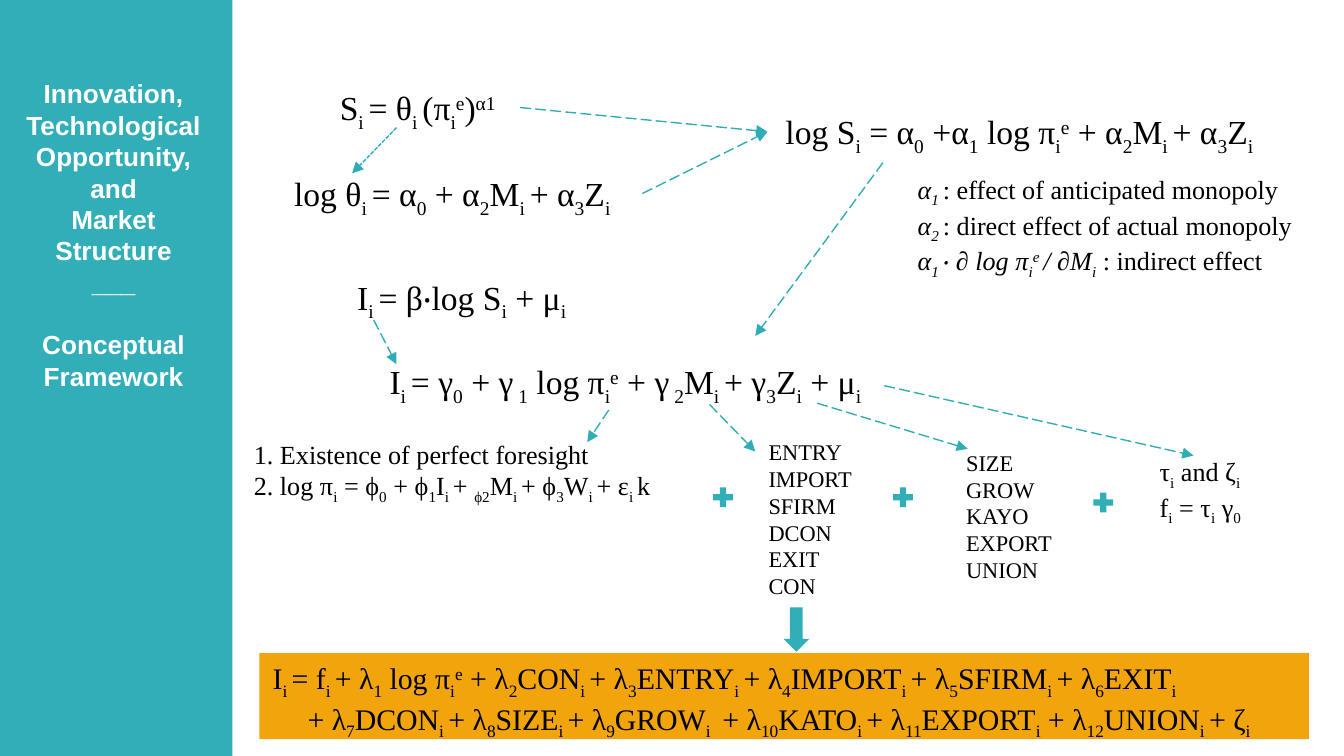
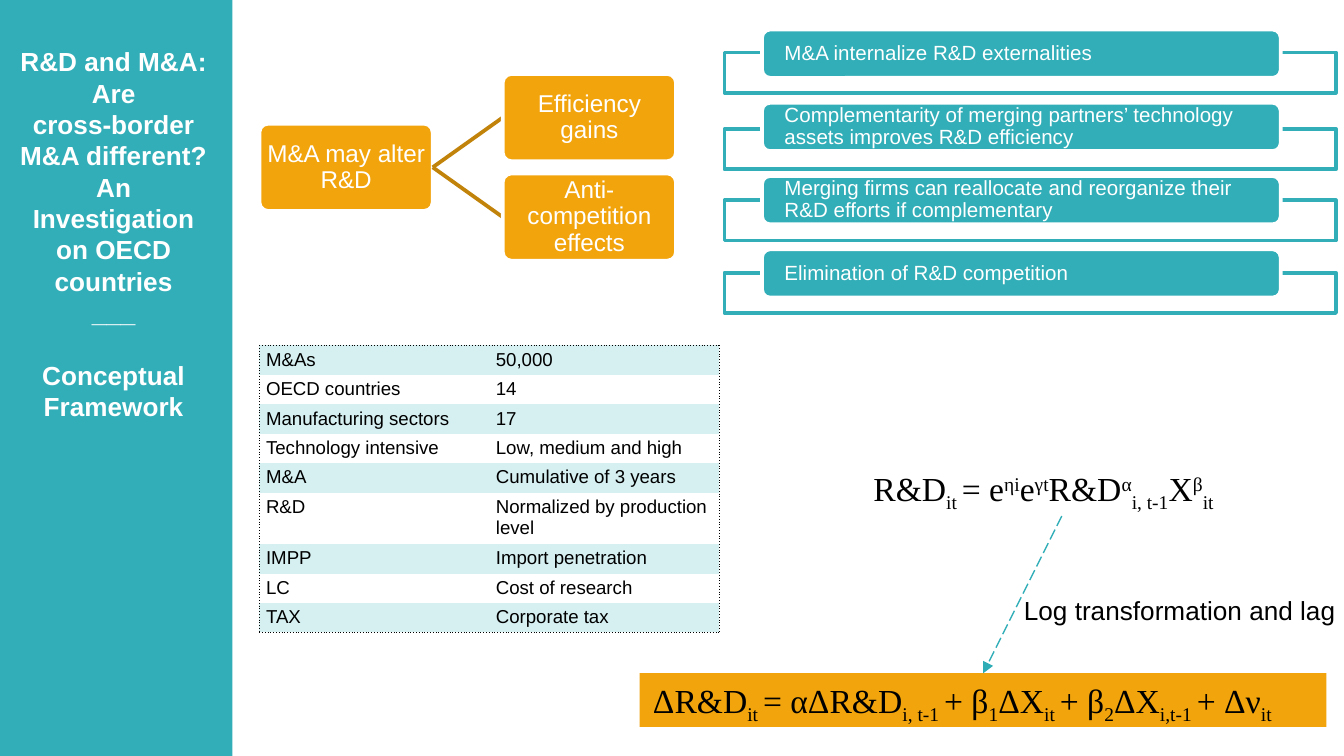
"""Build two conceptual-framework slides on a grid of 100 columns, with square cells."""
from lxml import etree
from pptx import Presentation
from pptx import util as u
from pptx.dml.color import RGBColor
from pptx.enum import dml, shapes, text
from pptx.oxml.ns import qn

COLORS = {"teal": "32AEB8", "arrow": "2EADB7", "amber": "F2A40D", "brown": "C2830A",
          "pale": "D6EFF1", "white": "FFFFFF", "black": "000000"}
RGB = {name: RGBColor.from_string(code) for name, code in COLORS.items()}
SERIF, SANS = "Times New Roman", "Arial"
BASE = {"↓": "-25000", "↑": "30000"}
MSO = shapes.MSO_SHAPE

prs = Presentation()
prs.slide_width, prs.slide_height = u.Inches(10), u.Inches(5.625)
CELL = prs.slide_width // 100
ROWS = 56.25


def box(s, at, lines=(), size=18, font=SERIF, ink="black", kind=None, fill=None, edge=None, spacing=1.0):
    """Add a text box or shape; | parts runs, ↓ lowers and ↑ raises a run."""
    at = [round(v * CELL) for v in at]
    if kind is None:
        sp = s.shapes.add_textbox(*at)
    else:
        sp = s.shapes.add_shape(kind, *at)
        sp.shadow.inherit = False
        sp.fill.solid()
        sp.fill.fore_color.rgb = RGB[fill]
        if edge:
            sp.line.color.rgb = RGB[edge]
            sp.line.width = u.Pt(2)
        else:
            sp.line.fill.background()
    tf = sp.text_frame
    tf.word_wrap = True
    tf.vertical_anchor = text.MSO_ANCHOR.TOP
    for n, line in enumerate(lines):
        p = tf.add_paragraph() if n else tf.paragraphs[0]
        p.alignment = text.PP_ALIGN.LEFT
        p.line_spacing = spacing
        for part in line.split("|"):
            r = p.add_run()
            r.text = part.lstrip("↓↑")
            r.font.size, r.font.name = u.Pt(size), font
            r.font.color.rgb = RGB[ink]
            if part[0] in BASE:
                r._r.get_or_add_rPr().set("baseline", BASE[part[0]])
    return sp


def connect(s, ends, color="arrow", width=0.75, dash=dml.MSO_LINE.LONG_DASH, head=True):
    """Add a straight connector, with an arrowhead at its end if head is set."""
    c = s.shapes.add_connector(shapes.MSO_CONNECTOR.STRAIGHT, *[round(v * CELL) for v in ends])
    c.line.color.rgb = RGB[color]
    c.line.width = u.Pt(width)
    if dash:
        c.line.dash_style = dash
    if head:
        etree.SubElement(c.line._get_or_add_ln(), qn("a:tailEnd"), type="triangle")
    etree.SubElement(c._element.spPr, qn("a:effectLst"))
    return c


titles = [
    (5.3, 26.9, ["Innovation,", "Technological", "Opportunity,", "and", "Market", "Structure"]),
    (2.9, 31.6, ["R&D and M&A:", "Are", "cross-border", "M&A different?", "An", "Investigation",
                 "on OECD", "countries"]),
]
slides = []
for top, height, lines in titles:
    s = prs.slides.add_slide(prs.slide_layouts[6])
    box(s, (0, 0, 17.3, ROWS), kind=MSO.RECTANGLE, fill="teal")
    sp = box(s, (0.4, top, 16.1, height), lines + ["___", "Conceptual", "Framework"], 14, SANS, "white")
    for p in sp.text_frame.paragraphs:
        p.alignment = text.PP_ALIGN.CENTER
        p.runs[0].font.bold = True
        p.space_before = u.Pt(16.8 if p.text == "Conceptual" else 0)
    slides.append(s)

s = slides[0]
score = box(s, (24.3, 6, 14.4, 4), ["S|↓i |= θ|↓i |(π|↓i|↑e|)|↑α1"])
box(s, (20.9, 12.4, 28.5, 4), ["log θ|↓i |= α|↓0| + α|↓2|M|↓i |+ α|↓3|Z|↓i"])
log_score = box(s, (57.1, 7.8, 45.9, 4),
                ["↓ |log S|↓i| = α|↓0| +α|↓1| log π|↓i|↑e| + α|↓2|M|↓i |+ α|↓3|Z|↓i"])
effects = box(s, (67.3, 12.4, 33.1, 8.1), [
    "α|↓1 |: effect of anticipated monopoly",
    "α|↓2 |: direct effect of actual monopoly",
    "α|↓1 |‧ ∂ log π|↓i|↑e |/ ∂M|↓i| : indirect effect"], 14)
for p in effects.text_frame.paragraphs:
    for r in p.runs[:-1]:
        r.font.italic = True
box(s, (25.6, 20.1, 22.6, 4), ["I|↓i |= β‧log S|↓i| + μ|↓i"])
box(s, (28, 26.4, 44.1, 4),
    ["I|↓i |= γ|↓0| + γ|↓ 1| log π|↓i|↑e| + γ|↓ 2|M|↓i |+ γ|↓3|Z|↓i| + μ|↓i"])
box(s, (17.9, 32.1, 39.2, 5.7), [
    "1. Existence of perfect foresight",
    "2. log π|↓i| = ϕ|↓0| + ϕ|↓1|I|↓i |+ |↓ϕ2|M|↓i |+ ϕ|↓3|W|↓i |+ ε|↓i |k"], 14)
box(s, (56.2, 32.1, 9.6, 13.1), ["ENTRY", "IMPORT", "SFIRM", "DCON", "EXIT", "CON"], 12)
box(s, (70.9, 32.9, 10.6, 11.1), ["SIZE", "GROW", "KAYO", "EXPORT", "UNION"], 12)
box(s, (85.3, 33.4, 12.8, 5.7), ["τ|↓i| and ζ|↓i", "f|↓i| = τ|↓i| γ|↓0"], 14)
model = box(s, (19.3, 48.6, 78.1, 6.4), [
    "I|↓i |= f|↓i |+ λ|↓1| log π|↓i|↑e| + λ|↓2|CON|↓i |+ λ|↓3|ENTRY|↓i |+ λ|↓4|IMPORT|↓i "
    "|+ λ|↓5|SFIRM|↓i |+ λ|↓6|EXIT|↓i",
    "+ λ|↓7|DCON|↓i |+ λ|↓8|SIZE|↓i |+ λ|↓9|GROW|↓i | + λ|↓10|KATO|↓i |+ λ|↓11|EXPORT|↓i"
    "| + λ|↓12|UNION|↓i |+ ζ|↓i"], 16, kind=MSO.RECTANGLE, fill="amber")
model.text_frame.paragraphs[1]._p.get_or_add_pPr().set("marL", str(round(2.6 * CELL)))

connect(s, (29.5, 9.5, 26.2, 12.9), dash=dml.MSO_LINE.SQUARE_DOT)
c = connect(s, (38.7, 8, 57.1, 9.8))
c.begin_connect(score, 3)
c.end_connect(log_score, 1)
connect(s, (47.8, 14.4, 57.1, 9.8)).end_connect(log_score, 1)
for ends in [(65.7, 12.1, 56.2, 25), (27.8, 23.8, 29.5, 27.1), (45.3, 30.5, 43.7, 32.9),
             (52.8, 30.1, 56.2, 33.6), (60.8, 30, 72, 33.4), (65.8, 28.7, 88.8, 33.9)]:
    connect(s, ends)
for x, y in [(52.8, 36), (66.2, 36), (81.1, 36.4)]:
    box(s, (x, y, 2, 2), kind=MSO.MATH_PLUS, fill="teal")
box(s, (58.3, 45.2, 1.9, 3.3), kind=MSO.DOWN_ARROW, fill="teal")

s = slides[1]
nodes = [(19.3, 9.2, "M&A may alter R&D"), (37.4, 5.5, "Efficiency gains"),
         (37.4, 12.9, "Anti-competition effects")]
root = None
for x, y, label in nodes:
    if root:
        c = connect(s, (32.2, 12.5, x, y + 3.25), "brown", 2, None, False)
        c.begin_connect(root, 3)
    sp = box(s, (x, y, 12.9, 6.5), [label], 13, SANS, "white", MSO.ROUNDED_RECTANGLE, "amber", "white", 0.9)
    sp.adjustments[0] = 0.1
    tf = sp.text_frame
    tf.vertical_anchor = text.MSO_ANCHOR.MIDDLE
    tf.margin_left = tf.margin_right = tf.margin_top = tf.margin_bottom = u.Inches(0.03)
    tf.paragraphs[0].alignment = text.PP_ALIGN.CENTER
    if root:
        c.end_connect(sp, 1)
    else:
        root = sp

channels = [(3.9, "M&A internalize R&D externalities"),
            (9.6, "Complementarity of merging partners’ technology assets improves R&D efficiency"),
            (14.9, "Merging firms can reallocate and reorganize their R&D efforts if complementary"),
            (20.3, "Elimination of R&D competition")]
for n, (y, label) in enumerate(channels):
    box(s, (53.9, y, 45.5, 3), kind=MSO.RECTANGLE, fill="white", edge="teal")
    sp = box(s, (56.7, 2.2 + 5.45 * n, 38.6, 3.6), [label], 11, SANS, "white",
             MSO.ROUNDED_RECTANGLE, "teal", "white", 0.9)
    tf = sp.text_frame
    tf.vertical_anchor = text.MSO_ANCHOR.MIDDLE
    tf.margin_left = tf.margin_right = u.Inches(0.15)
    tf.margin_top = tf.margin_bottom = 0

data = [("M&As", "50,000"), ("OECD countries", "14"), ("Manufacturing sectors", "17"),
        ("Technology intensive", "Low, medium and high"), ("M&A", "Cumulative of 3 years"),
        ("R&D", "Normalized by production level"), ("IMPP", "Import penetration"),
        ("LC", "Cost of research"), ("TAX", "Corporate tax")]
frame = s.shapes.add_table(len(data), 2, *[round(v * CELL) for v in (19.3, 25.7, 34.2, 21.3)])
tbl = frame.table
tbl.first_row = tbl.horz_banding = False
tbl._tbl.tblPr.find(qn("a:tableStyleId")).text = "{2D5ABB26-0587-4C30-8999-92F81FD0307C}"
for i, row in enumerate(data):
    tbl.rows[i].height = round((3.8 if i == 5 else 2.19) * CELL)
    for j, value in enumerate(row):
        cell = tbl.cell(i, j)
        cell.text = value
        cell.margin_left = cell.margin_right = u.Inches(0.05)
        cell.margin_top, cell.margin_bottom = u.Inches(0.03), u.Inches(0.02)
        r = cell.text_frame.paragraphs[0].runs[0]
        r.font.size, r.font.name = u.Pt(10), SANS
        r.font.color.rgb = RGB["black"]
        if i % 2:
            cell.fill.background()
        else:
            cell.fill.solid()
            cell.fill.fore_color.rgb = RGB["pale"]
        outer = [("a:lnL", j == 0), ("a:lnR", j == 1), ("a:lnT", i == 0), ("a:lnB", i == len(data) - 1)]
        for n, tag in enumerate([tag for tag, shown in outer if shown]):
            ln = etree.Element(qn(tag), w=str(u.Pt(0.25)))
            solid = etree.SubElement(ln, qn("a:solidFill"))
            etree.SubElement(solid, qn("a:srgbClr"), val=COLORS["black"])
            etree.SubElement(ln, qn("a:prstDash"), val="sysDot")
            cell._tc.get_or_add_tcPr().insert(n, ln)

box(s, (64, 34.3, 30.1, 4), ["R&D|↓it |= e|↑ηi|e|↑γt|R&D|↑α|↓i, t-1|X|↑β|↓it"])
growth = box(s, (47.6, 50.1, 51.1, 4), [
    "ΔR&D|↓it |= αΔR&D|↓i, t-1 |+ β|↓1|ΔX|↓it |+ β|↓2|ΔX|↓i,t-1 |+ Δν|↓it"],
    kind=MSO.RECTANGLE, fill="amber")
connect(s, (79, 38.4, 73.2, 50.1)).end_connect(growth, 0)
box(s, (75.2, 43.7, 27.3, 3.4), ["Log transformation and lag"], 14, SANS)

prs.save("out.pptx")
